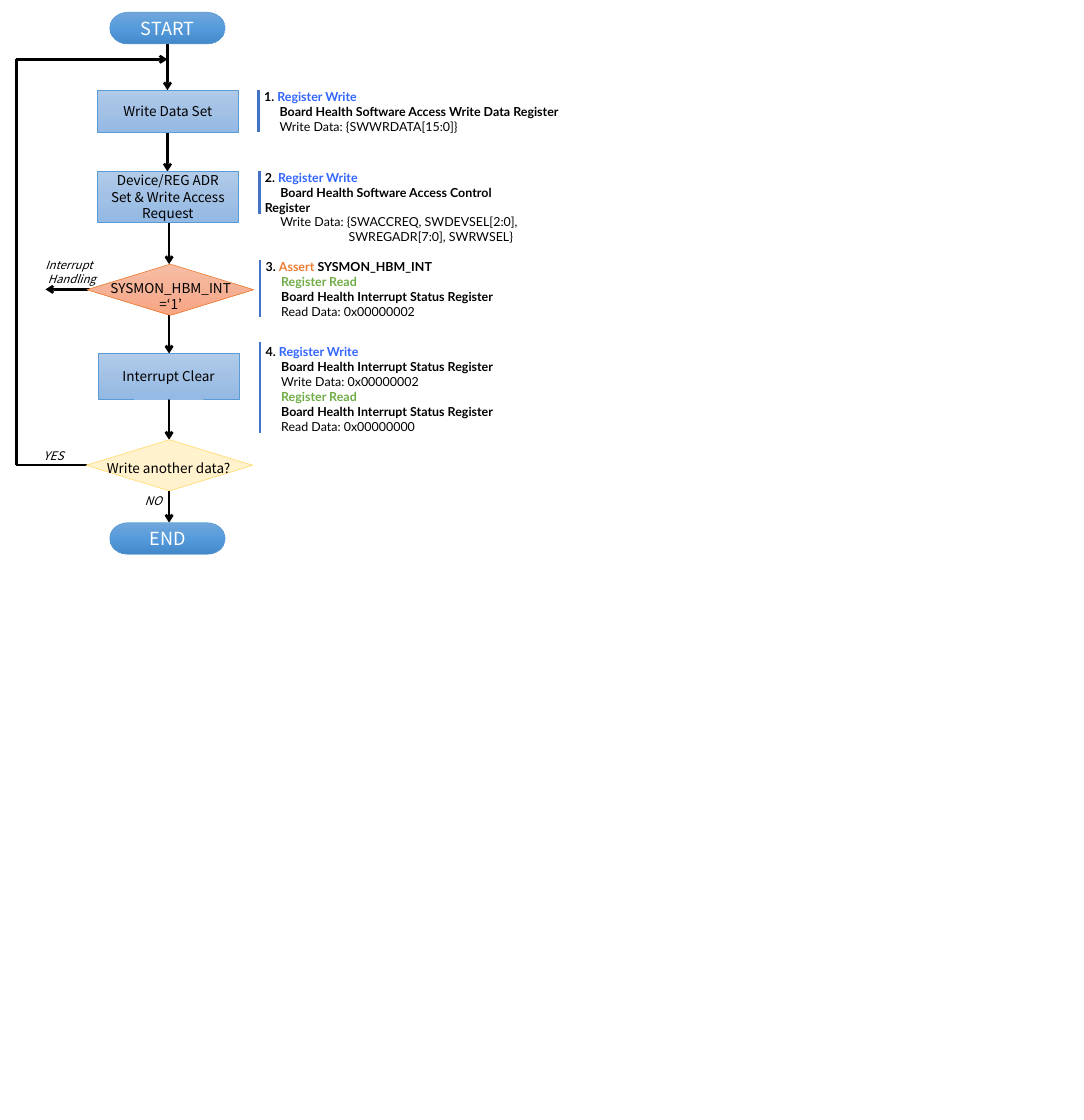
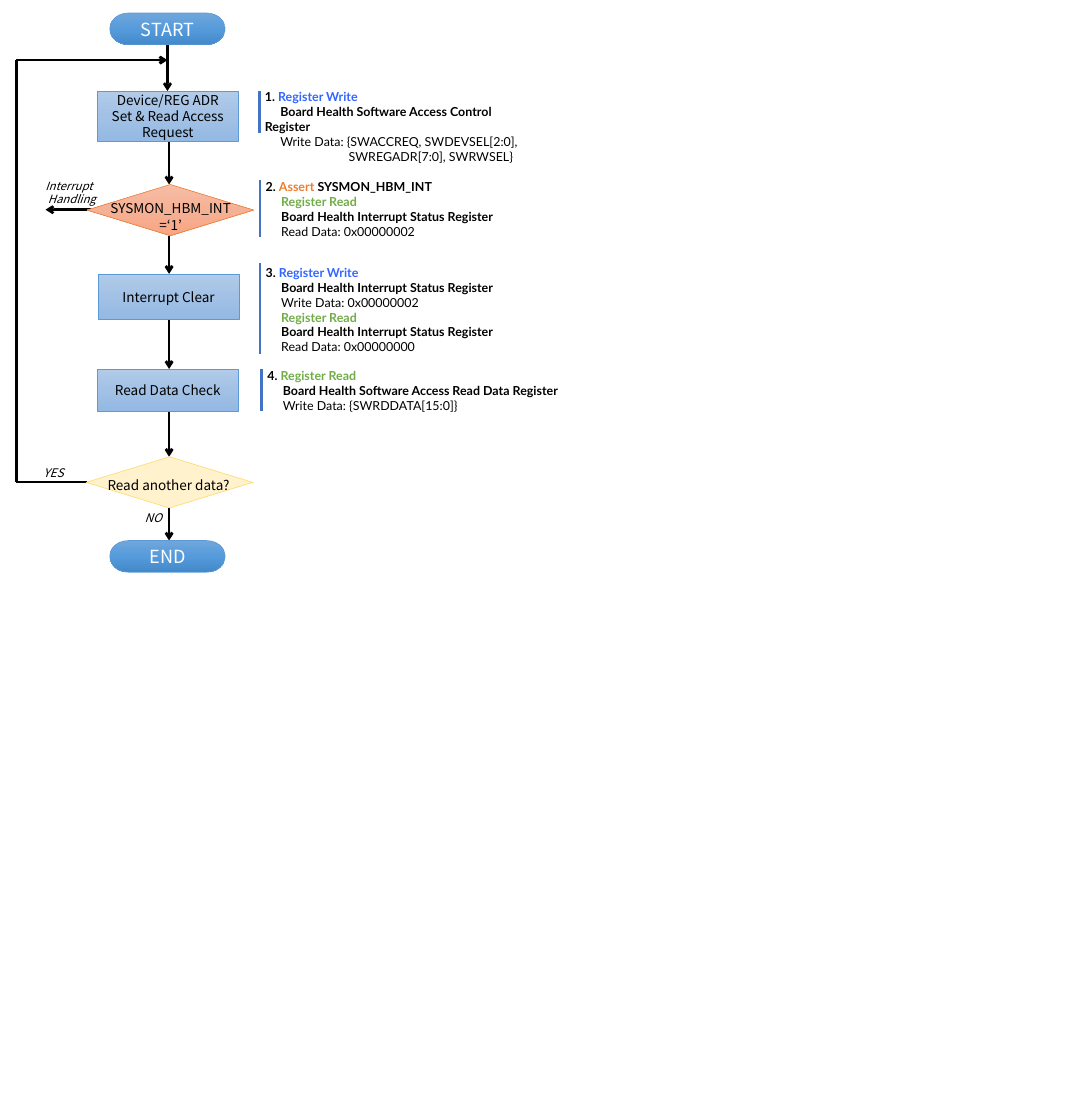
from pptx import Presentation
from pptx.dml.color import RGBColor as RGB
from pptx.enum.shapes import MSO_CONNECTOR as Conn, MSO_SHAPE as Shape
from pptx.enum.text import MSO_ANCHOR as Anchor, PP_ALIGN as Align
from pptx.oxml import parse_xml
from pptx.oxml.ns import nsdecls, qn
from pptx.util import Inches, Pt

BLACK = RGB(0x00, 0x00, 0x00)
WHITE = RGB(0xFF, 0xFF, 0xFF)
BLUE = RGB(0x33, 0x66, 0xFF)
GREEN = RGB(0x70, 0xAD, 0x47)
ORANGE = RGB(0xED, 0x7D, 0x31)
BAR = RGB(0x44, 0x72, 0xC4)
EDGE = RGB(0x5B, 0x9B, 0xD5)
GOLD = RGB(0xFF, 0xD9, 0x66)
CREAM = RGB(0xFF, 0xF2, 0xCC)
DEEP = (RGB(0x71, 0xA6, 0xDB), RGB(0x55, 0x9B, 0xDB), RGB(0x44, 0x8A, 0xCA))
SOFT = (RGB(0xB1, 0xCB, 0xE9), RGB(0xA3, 0xC1, 0xE5), RGB(0x93, 0xB9, 0xE4))
WARM = (RGB(0xF7, 0xBD, 0xA5), RGB(0xF5, 0xB1, 0x96), RGB(0xF8, 0xA5, 0x82))

SANS, LATO = "Noto Sans CJK JP", "Lato"
WIDE, TALL = Inches(40 / 3), Inches(35 / 2.54)
TAB, DEEP_TAB = 0.19, 1.03
LOOP_X, JOIN_X = 0.2, 2.06

PILL, BOX, GEM = Shape.FLOWCHART_TERMINATOR, Shape.RECTANGLE, Shape.FLOWCHART_DECISION
KINDS = {
    "start": (PILL, 1.35, 1.42, 0.39, DEEP, EDGE, 2.06),
    "data": (BOX, 1.2, 1.73, 0.52, SOFT, EDGE, 2.06),
    "read": (BOX, 1.2, 1.73, 0.52, SOFT, EDGE, 2.08),
    "addr": (BOX, 1.2, 1.73, 0.62, SOFT, EDGE, 2.08),
    "check": (GEM, 1.07, 2.05, 0.63, WARM, ORANGE, 2.08),
    "clear": (BOX, 1.21, 1.73, 0.56, SOFT, EDGE, 2.08),
    "again": (GEM, 1.06, 2.05, 0.63, CREAM, GOLD, 2.08),
    "end": (PILL, 1.35, 1.42, 0.39, DEEP, EDGE, 2.08),
}
LABELS = {"check": (0.24, 1.88), "again": (0.19, 1.83)}
PLACES = {
    "data": (3.15, 3.9, -0.06, 0, 0.52),
    "read": (3.19, 3.9, -0.06, 0, 0.52),
    "addr": (3.16, 3.55, -0.07, 0, 0.52),
    "check": (3.17, 3.64, -0.11, -0.05, 0.7),
    "clear": (3.17, 3.64, -0.16, -0.14, 1.12),
}


def head(text, hue):
    return TAB, [(text, hue, True)]


def bold(text):
    return head(text, BLACK)


def plain(text, tab=TAB):
    return tab, [(text, BLACK, False)]


WRITE, READ = head("Register Write", BLUE), head("Register Read", GREEN)
STATUS = bold("Board Health Interrupt Status Register")
NOTES = {
    "data": [WRITE, bold("Board Health Software Access Write Data Register"),
             plain("Write Data: {SWWRDATA[15:0]}")],
    "read": [READ, bold("Board Health Software Access Read Data Register"),
             plain("Write Data: {SWRDDATA[15:0]}")],
    "addr": [WRITE, bold("Board Health Software Access Control Register"),
             plain("Write Data: {SWACCREQ, SWDEVSEL[2:0],"),
             plain("SWREGADR[7:0], SWRWSEL}", DEEP_TAB)],
    "check": [(0, [("Assert ", ORANGE, True), ("SYSMON_HBM_INT", BLACK, True)]),
              READ, STATUS, plain("Read Data: 0x00000002")],
    "clear": [WRITE, STATUS, plain("Write Data: 0x00000002"),
              READ, STATUS, plain("Read Data: 0x00000000")],
}
CHECK = ("SYSMON_HBM_INT", "=‘1’")
FLOWS = [
    [("start", 0.15, ["START"]), ("data", 1.11, ["Write Data Set"]),
     ("addr", 2.11, ["Device/REG ADR Set & Write Access Request"]),
     ("check", 3.25, CHECK), ("clear", 4.35, ["Interrupt Clear"]),
     ("again", 5.41, ["Write another data?"]), ("end", 6.43, ["END"])],
    [("start", 0.16, ["START"]),
     ("addr", 1.12, ["Device/REG ADR Set & Read Access Request"]),
     ("check", 2.27, CHECK), ("clear", 3.37, ["Interrupt Clear"]),
     ("read", 4.54, ["Read Data Check"]),
     ("again", 5.62, ["Read another data?"]), ("end", 6.65, ["END"])],
]


def write(frame, lines, size=12, font=SANS, align=Align.CENTER, hue=BLACK,
          italic=False, anchor=Anchor.MIDDLE, wrap=True):
    frame.word_wrap = wrap
    frame.vertical_anchor = anchor
    for i, line in enumerate(lines):
        tab, runs = (0, [(line, hue, False)]) if isinstance(line, str) else line
        par = frame.add_paragraph() if i else frame.paragraphs[0]
        par.alignment = align
        if tab:
            props = par._p.get_or_add_pPr()
            props.set("marL", "0")
            props.set("indent", str(Inches(tab)))
        for text, tint, strong in runs:
            run = par.add_run()
            run.text = text
            run.font.name, run.font.size = font, Pt(size)
            run.font.bold, run.font.italic = strong, italic
            run.font.color.rgb = tint


def label(slide, left, top, width, height, lines, **style):
    box = slide.shapes.add_textbox(*map(Inches, (left, top, width, height)))
    write(box.text_frame, lines, **style)
    return box.text_frame


def link(slide, x1, y1, x2, y2, hue=BLACK, arrow=True):
    line = slide.shapes.add_connector(Conn.STRAIGHT, *map(Inches, (x1, y1, x2, y2)))
    line.line.color.rgb, line.line.width = hue, Pt(2.25)
    props = line._element.spPr
    if arrow:
        tip = parse_xml(f'<a:tailEnd {nsdecls("a")} type="arrow"/>')
        props.find(qn("a:ln")).append(tip)
    props.append(parse_xml(f'<a:effectLst {nsdecls("a")}/>'))


def paint(shape, fill, edge):
    shape.shadow.inherit = False
    shape.line.color.rgb, shape.line.width = edge, Pt(0.5)
    if isinstance(fill, RGB):
        shape.fill.solid()
        shape.fill.fore_color.rgb = fill
        return
    shape.fill.gradient()
    stops = "".join(f'<a:gs pos="{i * 50000}"><a:srgbClr val="{hue}"/></a:gs>'
                    for i, hue in enumerate(fill))
    props = shape._element.spPr
    props.replace(props.find(qn("a:gradFill")), parse_xml(
        f'<a:gradFill {nsdecls("a")} rotWithShape="1"><a:gsLst>{stops}</a:gsLst>'
        '<a:lin ang="5400000" scaled="0"/></a:gradFill>'))


def node(slide, kind, top, lines):
    form, left, width, high, fill, edge, _ = KINDS[kind]
    shape = slide.shapes.add_shape(form, *map(Inches, (left, top, width, high)))
    paint(shape, fill, edge)
    if kind in LABELS:
        drop, wide = LABELS[kind]
        label(slide, 1.16, top + drop, wide, 0.31, lines)
    elif form == PILL:
        write(shape.text_frame, lines, size=16, hue=WHITE)
    else:
        write(shape.text_frame, lines)


def note(slide, kind, top, num):
    left, width, drop, bar, high = PLACES[kind]
    (_, first), *rest = NOTES[kind]
    lines = [(0, [(f"{num}. ", BLACK, True), *first]), *rest]
    label(slide, left, top + drop, width, 0.1 + 0.185 * len(lines), lines, size=11,
          font=LATO, align=Align.LEFT, anchor=Anchor.TOP)
    link(slide, left + 0.03, top + bar, left + 0.03, top + bar + high, BAR, False)


def loop(slide, tops):
    join = tops["start"] + 0.58
    again, check = tops["again"], tops["check"]
    turn = again + 0.31
    link(slide, 1.07, turn, LOOP_X, turn, arrow=False)
    link(slide, LOOP_X, turn, LOOP_X, join, arrow=False)
    link(slide, LOOP_X, join, JOIN_X, join)
    link(slide, 1.2, check + 0.31, 0.56, check + 0.31)
    tag = dict(size=10.5, italic=True, anchor=Anchor.TOP, wrap=False)
    label(slide, 0.41, again + 0.06, 0.5, 0.29, ["YES"], **tag)
    label(slide, 1.67, again + 0.61, 0.43, 0.29, ["NO"], **tag)
    frame = label(slide, 0.56, check - 0.12, 0.73, 0.44,
                  ["Interrupt", (0.03, [("Handling", BLACK, False)])], size=10,
                  italic=True, align=Align.LEFT, anchor=Anchor.TOP)
    frame.margin_left = frame.margin_right = 0


def main():
    deck = Presentation()
    deck.slide_width, deck.slide_height = WIDE, TALL
    for flow in FLOWS:
        slide = deck.slides.add_slide(deck.slide_layouts[6])
        loop(slide, {kind: top for kind, top, _ in flow})
        for (kind, top, _), (_, goal, _) in zip(flow, flow[1:]):
            high, x = KINDS[kind][3], KINDS[kind][6]
            link(slide, x, top + high, x, goal)
        for num, (kind, top, lines) in enumerate(flow):
            node(slide, kind, top, lines)
            if kind in NOTES:
                note(slide, kind, top, num)
    deck.save("out.pptx")


if __name__ == "__main__":
    main()
